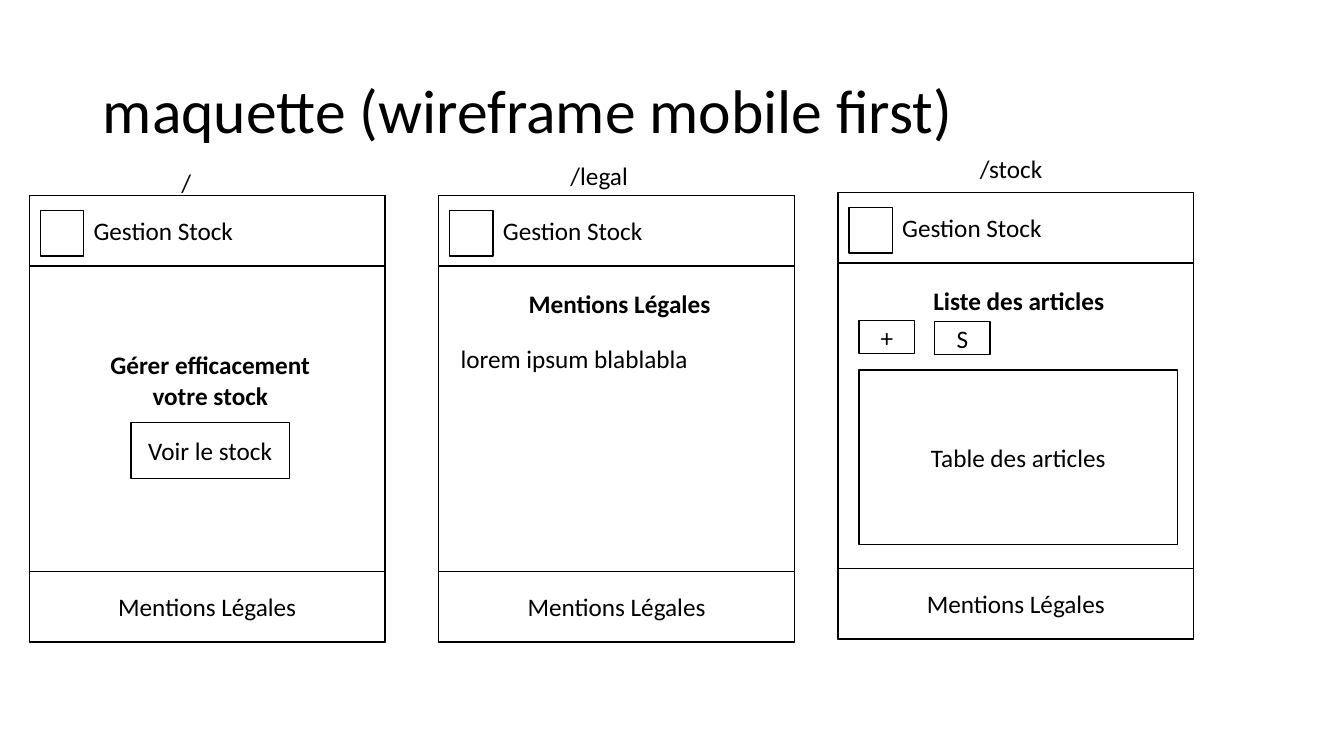
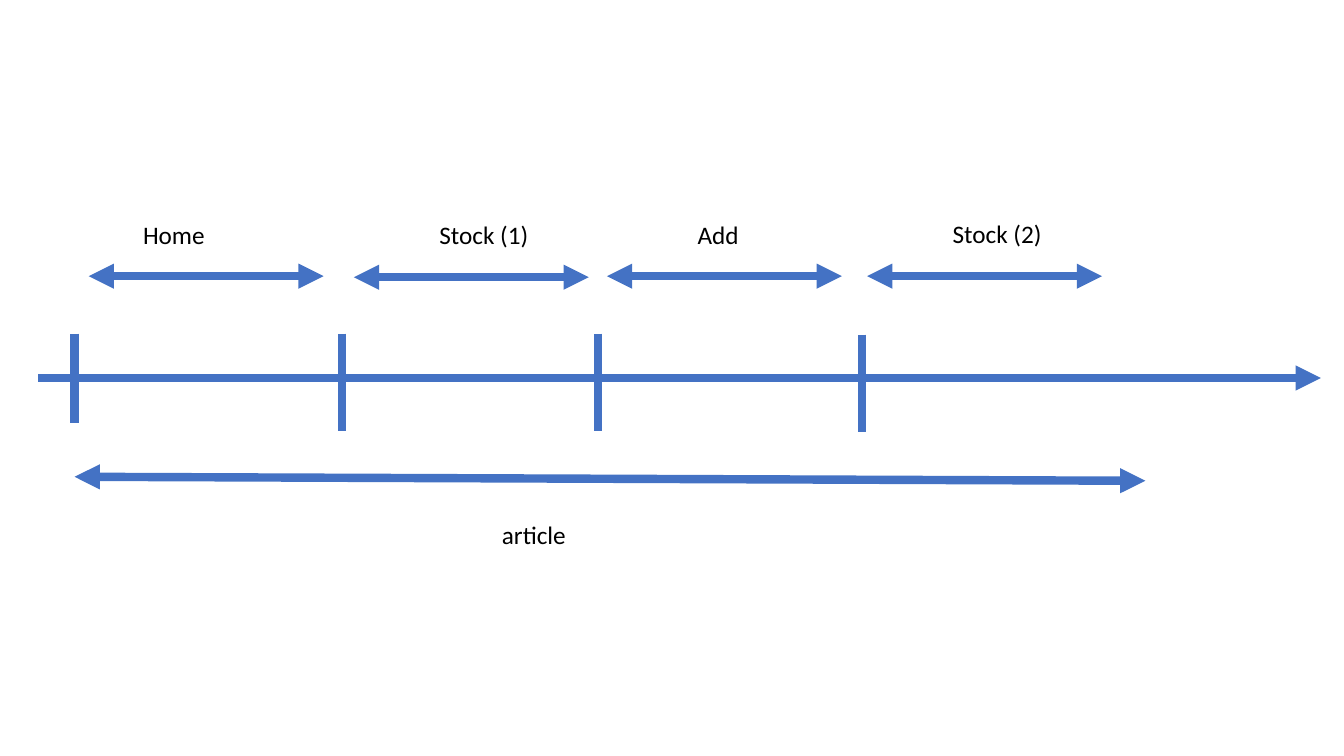
from dataclasses import dataclass
from typing import Any

from lxml.etree import SubElement
from pptx import Presentation
from pptx.dml.color import RGBColor
from pptx.enum.shapes import MSO_CONNECTOR, MSO_SHAPE
from pptx.enum.text import MSO_ANCHOR, MSO_AUTO_SIZE, PP_ALIGN
from pptx.oxml.ns import qn
from pptx.slide import Slide
from pptx.util import Inches, Pt


@dataclass(frozen=True)
class Theme:
    font: str = "Calibri"
    ink: RGBColor = RGBColor(0x00, 0x00, 0x00)
    paper: RGBColor = RGBColor(0xFF, 0xFF, 0xFF)
    accent: RGBColor = RGBColor(0x44, 0x72, 0xC4)
    title: Pt = Pt(44)
    body: Pt = Pt(18)
    outline: Pt = Pt(1)
    stroke: Pt = Pt(6)


@dataclass(frozen=True)
class Box:
    x: float
    y: float
    w: float
    h: float
    text: str = ""


@dataclass(frozen=True)
class Label(Box):
    bold: bool = False
    wrap: bool = False


@dataclass(frozen=True)
class Screen:
    x: float
    y: float
    route: Label
    content: tuple[Box, ...]


@dataclass(frozen=True)
class Phase:
    tick_x: float
    tick_top: float
    tick_bottom: float
    arrow_x: float
    arrow_y: float
    label: Label


THEME = Theme()
SCREEN_W, SCREEN_H, BAND_H = 3.53, 4.43, 0.7
PHASE_W = 2.33
AXIS_Y = 3.75

SCREENS = (
    Screen(0.29, 1.94, Label(1.7, 1.61, 0.3, 0.4, "/"), (
        Label(0.65, 1.48, 2.29, 0.71, "Gérer efficacement votre stock", True, True),
        Box(1.01, 2.25, 1.57, 0.56, "Voir le stock"),
    )),
    Screen(4.35, 1.94, Label(5.56, 1.54, 0.78, 0.4, "/legal"), (
        Label(0.65, 0.87, 2.29, 0.4, "Mentions Légales", True, True),
        Label(0.12, 1.42, 2.48, 0.4, "lorem ipsum blablabla"),
    )),
    Screen(8.31, 1.91, Label(9.62, 1.47, 0.83, 0.4, "/stock"), (
        Label(0.65, 0.87, 2.29, 0.4, "Liste des articles", True, True),
        Box(0.21, 1.76, 3.16, 1.73, "Table des articles"),
        Box(0.21, 1.27, 0.55, 0.33, "+"),
        Box(0.96, 1.28, 0.55, 0.33, "S"),
    )),
)

PHASES = (
    Phase(0.74, 3.31, 4.2, 0.88, 2.74, Label(1.32, 2.13, 0.82, 0.4, "Home")),
    Phase(3.39, 3.31, 4.28, 3.51, 2.75, Label(4.26, 2.13, 1.09, 0.4, "Stock (1)")),
    Phase(5.93, 3.31, 4.28, 6.02, 2.74, Label(6.82, 2.13, 0.61, 0.4, "Add")),
    Phase(8.55, 3.32, 4.29, 8.6, 2.74, Label(9.35, 2.12, 1.09, 0.4, "Stock (2)")),
)


def apply(target: Any, values: dict[str, Any]) -> None:
    for name, value in values.items():
        setattr(target, name, value)


def write(tf: Any, text: str, size: Pt, align: PP_ALIGN, bold: bool = False) -> None:
    p = tf.paragraphs[0]
    p.alignment = align
    r = p.add_run()
    r.text = text
    apply(r.font, {"name": THEME.font, "size": size, "bold": bold})
    r.font.color.rgb = THEME.ink


def add_title(s: Slide, text: str) -> None:
    sp = s.shapes.title
    apply(sp, {"left": Inches(0.92), "top": Inches(0.4),
               "width": Inches(11.5), "height": Inches(1.45)})
    apply(sp.text_frame, {"vertical_anchor": MSO_ANCHOR.MIDDLE, "word_wrap": True,
                          "auto_size": MSO_AUTO_SIZE.NONE})
    write(sp.text_frame, text, THEME.title, PP_ALIGN.LEFT)
    sp.text_frame.paragraphs[0].line_spacing = 0.9


def add_box(s: Slide, box: Box, dx: float = 0, dy: float = 0) -> None:
    sp = s.shapes.add_shape(MSO_SHAPE.RECTANGLE, Inches(box.x + dx), Inches(box.y + dy),
                            Inches(box.w), Inches(box.h))
    sp.shadow.inherit = False
    sp.fill.solid()
    sp.fill.fore_color.rgb = THEME.paper
    sp.line.color.rgb = THEME.ink
    sp.line.width = THEME.outline
    if box.text:
        apply(sp.text_frame, {"vertical_anchor": MSO_ANCHOR.MIDDLE, "word_wrap": True})
        write(sp.text_frame, box.text, THEME.body, PP_ALIGN.CENTER)


def add_label(s: Slide, label: Label, dx: float = 0, dy: float = 0) -> None:
    sp = s.shapes.add_textbox(Inches(label.x + dx), Inches(label.y + dy),
                              Inches(label.w), Inches(label.h))
    apply(sp.text_frame, {"word_wrap": label.wrap,
                          "auto_size": MSO_AUTO_SIZE.SHAPE_TO_FIT_TEXT})
    align = PP_ALIGN.CENTER if label.wrap else PP_ALIGN.LEFT
    write(sp.text_frame, label.text, THEME.body, align, label.bold)


def add_line(s: Slide, x1: float, y1: float, x2: float, y2: float,
             *arrow_ends: str) -> None:
    line = s.shapes.add_connector(MSO_CONNECTOR.STRAIGHT, Inches(x1), Inches(y1),
                                  Inches(x2), Inches(y2))
    line.line.color.rgb = THEME.accent
    line.line.width = THEME.stroke
    props = line._element.spPr
    for end in arrow_ends:
        SubElement(props.find(qn("a:ln")), qn(f"a:{end}"), type="triangle")
    SubElement(props, qn("a:effectLst"))


def add_screen(s: Slide, screen: Screen) -> None:
    frame = (
        Box(0, 0, SCREEN_W, SCREEN_H),
        Box(0, 0, SCREEN_W, BAND_H),
        Box(0, SCREEN_H - BAND_H, SCREEN_W, BAND_H, "Mentions Légales"),
        Box(0.11, 0.15, 0.43, 0.45),
        Label(0.54, 0.15, 1.6, 0.4, "Gestion Stock"),
    )
    for item in frame + screen.content:
        draw = add_label if isinstance(item, Label) else add_box
        draw(s, item, screen.x, screen.y)
    add_label(s, screen.route)


def add_phase(s: Slide, phase: Phase) -> None:
    add_line(s, phase.tick_x, phase.tick_top, phase.tick_x, phase.tick_bottom)
    add_line(s, phase.arrow_x, phase.arrow_y, phase.arrow_x + PHASE_W, phase.arrow_y,
             "headEnd", "tailEnd")
    add_label(s, phase.label)


def build_wireframes(prs: Any) -> None:
    s = prs.slides.add_slide(prs.slide_layouts[5])
    add_title(s, "maquette (wireframe mobile first)")
    for screen in SCREENS:
        add_screen(s, screen)


def build_timeline(prs: Any) -> None:
    s = prs.slides.add_slide(prs.slide_layouts[6])
    add_line(s, 0.38, AXIS_Y, 13.1, AXIS_Y, "tailEnd")
    for phase in PHASES:
        add_phase(s, phase)
    add_line(s, 0.74, 4.73, 11.36, 4.77, "headEnd", "tailEnd")
    add_label(s, Label(4.88, 5.1, 0.84, 0.4, "article"))


def main() -> None:
    prs = Presentation()
    apply(prs, {"slide_width": Inches(13.33), "slide_height": Inches(7.5)})
    build_wireframes(prs)
    build_timeline(prs)
    prs.save("out.pptx")


if __name__ == "__main__":
    main()
